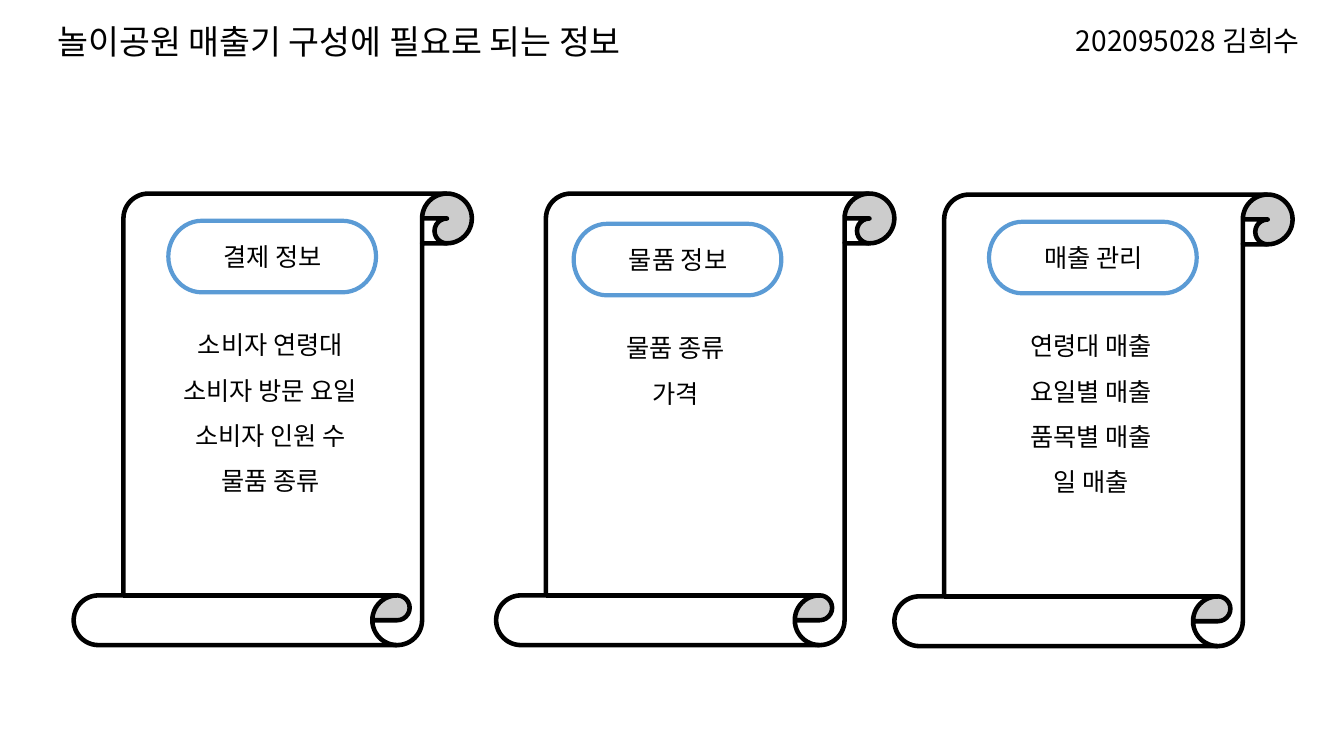
from dataclasses import dataclass

from lxml.etree import SubElement
from pptx import Presentation
from pptx.dml.color import RGBColor
from pptx.enum.shapes import MSO_SHAPE
from pptx.enum.text import MSO_ANCHOR, MSO_AUTO_SIZE, PP_ALIGN
from pptx.oxml.ns import qn
from pptx.util import Inches, Pt


@dataclass(frozen=True)
class Theme:
    font: str = "Noto Sans CJK KR"
    ink: RGBColor = RGBColor(0, 0, 0)
    paper: RGBColor = RGBColor(255, 255, 255)
    blue: RGBColor = RGBColor(0x5B, 0x9B, 0xD5)
    title: int = 24
    author: int = 20
    body: int = 18


class Board:
    """Draws styled elements on the current slide."""

    def __init__(self, deck, theme):
        self.theme = theme
        self.slide = deck.slides.add_slide(deck.slide_layouts[5])

    def style(self, shape, text, size, align, spacing=None):
        frame = shape.text_frame
        frame.text = text
        frame.word_wrap = True
        frame.auto_size = MSO_AUTO_SIZE.SHAPE_TO_FIT_TEXT
        frame.vertical_anchor = MSO_ANCHOR.TOP
        for para in frame.paragraphs:
            para.alignment = align
            if spacing:
                para.line_spacing = spacing
            for run in para.runs:
                run.font.size = Pt(size)
                run.font.name = self.theme.font
                run.font.color.rgb = self.theme.ink
                east = SubElement(run.font._element, qn("a:ea"))
                east.set("typeface", self.theme.font)

    def title(self, text, left, top, width, height):
        shape = self.slide.shapes.title
        shape.left, shape.top = Inches(left), Inches(top)
        shape.width, shape.height = Inches(width), Inches(height)
        self.style(shape, text, self.theme.title, PP_ALIGN.LEFT)

    def text(self, text, left, top, width, height, size,
             align=PP_ALIGN.CENTER, spacing=None):
        box = self.slide.shapes.add_textbox(
            Inches(left), Inches(top), Inches(width), Inches(height))
        self.style(box, text, size, align, spacing)

    def shape(self, kind, left, top, width, height, color, weight, turn=0):
        shape = self.slide.shapes.add_shape(
            kind, Inches(left), Inches(top), Inches(width), Inches(height))
        shape.shadow.inherit = False
        shape.rotation = turn
        shape.fill.solid()
        shape.fill.fore_color.rgb = self.theme.paper
        shape.line.color.rgb = color
        shape.line.width = Pt(weight)

    def scroll(self, left, top, inset, drop, label, items):
        theme = self.theme
        self.shape(MSO_SHAPE.VERTICAL_SCROLL, left, top, 3.95, 4.48,
                   theme.ink, 3.25, 180)
        x, y = left + inset, top + drop
        self.shape(MSO_SHAPE.FLOWCHART_TERMINATOR, x, y, 2.06, 0.71,
                   theme.blue, 3)
        self.text(label, x + 0.12, y + 0.15, 1.83, 0.41, theme.body)
        self.text("\n".join(items), x - 0.2, y + 0.88, 2.42,
                  0.04 + 0.455 * len(items), theme.body, spacing=1.5)


def main():
    deck = Presentation()
    deck.slide_width, deck.slide_height = Inches(13.33), Inches(7.5)
    theme = Theme()
    board = Board(deck, theme)
    board.title("놀이공원 매출기 구성에 필요로 되는 정보", 0.47, 0.16, 7.62, 0.5)
    board.text("202095028 김희수", 9.6, 0.18, 3.39, 0.74, theme.author,
               PP_ALIGN.RIGHT)
    scrolls = [
        (0.73, 1.92, 0.94, 0.27, "결제 정보",
         ["소비자 연령대", "소비자 방문 요일", "소비자 인원 수", "물품 종류"]),
        (4.92, 1.92, 0.77, 0.3, "물품 정보", ["물품 종류", "가격"]),
        (8.87, 1.93, 0.94, 0.27, "매출 관리",
         ["연령대 매출", "요일별 매출", "품목별 매출", "일 매출"]),
    ]
    for scroll in scrolls:
        board.scroll(*scroll)
    deck.save("out.pptx")


if __name__ == "__main__":
    main()
